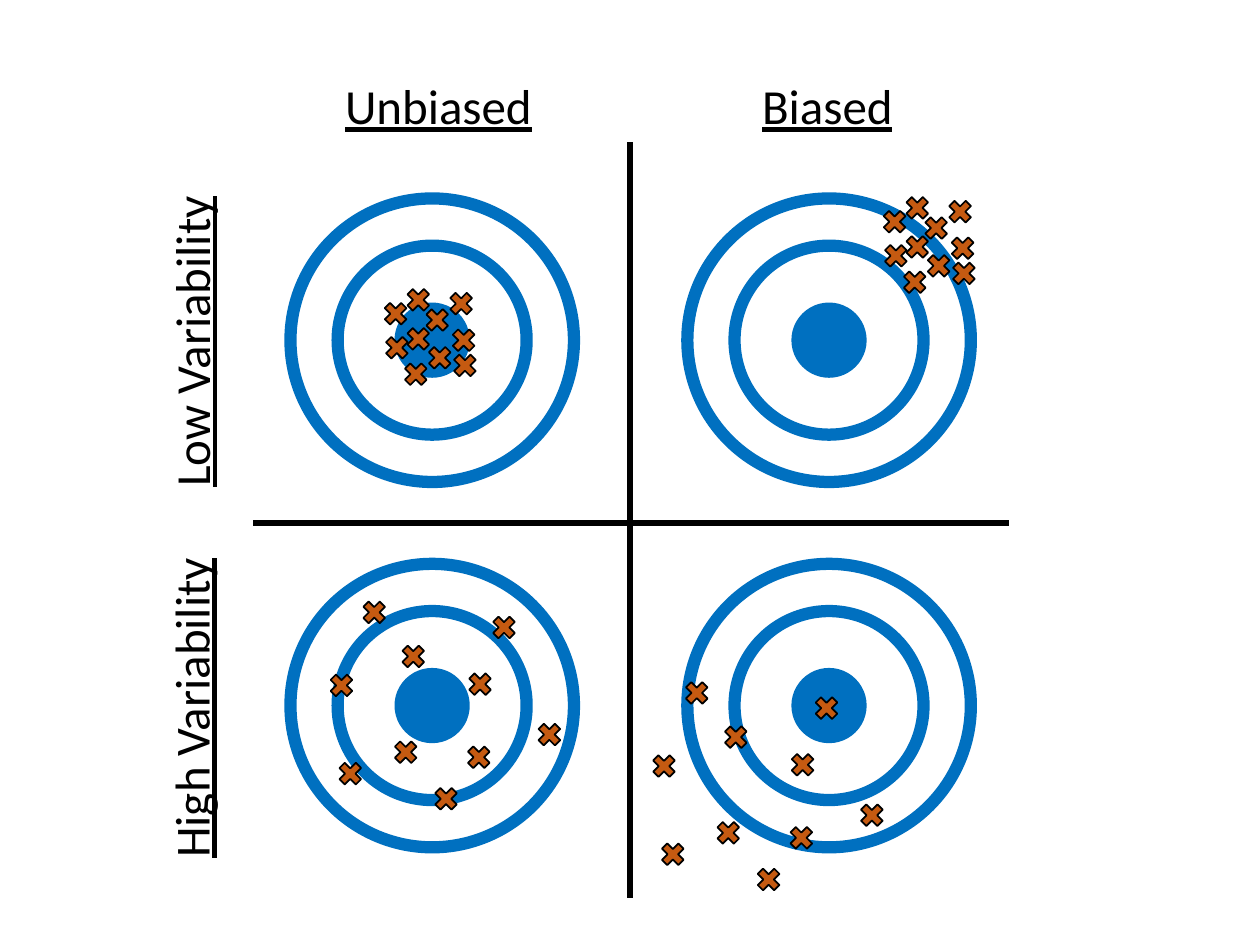
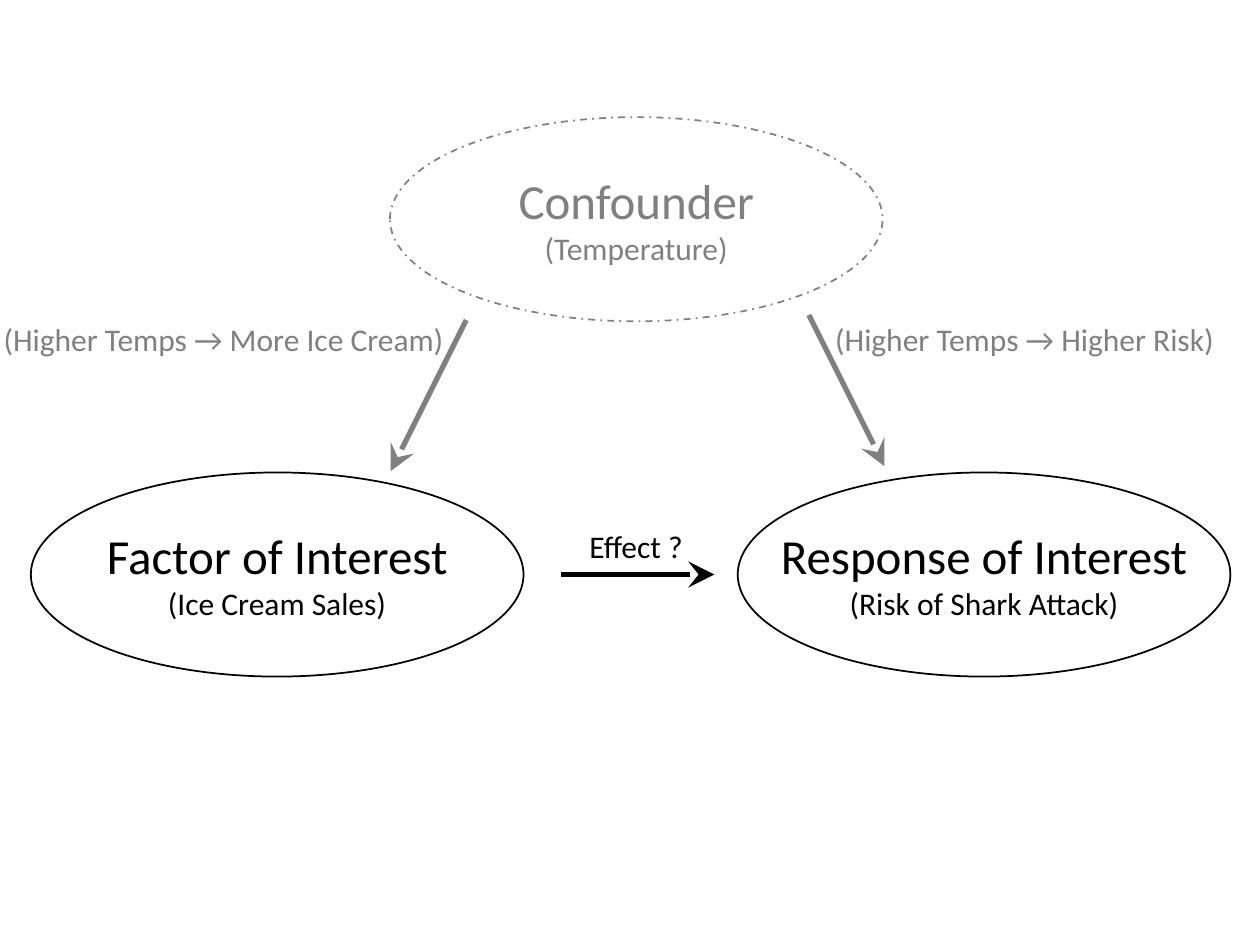
"""Build two slides: bias against variability, and a confounder diagram."""
from lxml.etree import SubElement
from pptx import Presentation
from pptx.dml.color import RGBColor
from pptx.enum.dml import MSO_LINE
from pptx.enum.shapes import MSO_CONNECTOR, MSO_SHAPE
from pptx.enum.text import MSO_AUTO_SIZE, PP_ALIGN
from pptx.oxml.ns import qn
from pptx.util import Inches, Pt

COLORS = {"ink": "000000", "gray": "808080", "ring": "0070C0", "shot": "C55A11"}
FONT = "Calibri"
BIG, SMALL = 28, 18

RINGS = [(2.25, None), (1.5, None), (0.5, "ring")]
ORIGIN, PITCH = (3.43, 2.7), (3.15, 2.9)
MARK = 0.25
AXES = [((5, 1.13), (5, 7.13)), ((2.01, 4.15), (8.01, 4.15))]
HEADS = [
    ("Unbiased", (2.64, 0.55, 1.7, 0.57), 0),
    ("Biased", (5.95, 0.55, 1.25, 0.57), 0),
    ("Low Variability", (0.25, 2.41, 2.53, 0.57), 270),
    ("High Variability", (0.21, 5.32, 2.6, 0.57), 270),
]
# Each row: shot offsets from the bullseye, then the shift that bias adds.
ROWS = [
    ([(-0.13, 0.27), (-0.11, -0.32), (0.26, 0.2), (0.06, 0.14), (-0.28, 0.06),
      (0.25, 0), (-0.11, -0.01), (0.23, -0.29), (0.04, -0.16), (-0.29, -0.21)],
     (0.81, -0.73)),
    ([(-0.15, -0.39), (-0.46, -0.74), (0.37, 0.41), (-0.21, 0.37), (-0.65, 0.54),
      (0.93, 0.23), (0.11, 0.74), (0.57, -0.62), (0.38, -0.17), (-0.72, -0.16)],
     (-0.59, 0.64)),
]

OVAL = (3.91, 1.62)
NODES = [
    ("Response of Interest", "(Risk of Shark Attack)", (7.81, 4.56), 3.46, "ink", None),
    ("Factor of Interest", "(Ice Cream Sales)", (2.2, 4.56), 2.93, "ink", None),
    ("Confounder", "(Temperature)", (5.05, 1.74), 2.09, "gray", MSO_LINE.DASH_DOT),
]
ARROWS = [
    ((4.45, 4.56), (5.67, 4.56), "ink"),
    ((6.42, 2.5), (7.02, 3.7), "gray"),
    ((3.7, 2.54), (3.1, 3.74), "gray"),
]
NOTES = [
    ("Effect ?", (4.58, 4.13, 0.95, 0.4), "ink"),
    ("(Higher Temps → More Ice Cream)", (-0.07, 2.49, 3.78, 0.4), "gray"),
    ("(Higher Temps → Higher Risk)", (6.53, 2.49, 3.24, 0.4), "gray"),
]


def paint(name):
    return RGBColor.from_string(COLORS[name])


def center(mid, width, height):
    return mid[0] - width / 2, mid[1] - height / 2, width, height


def add_form(shapes, kind, box, edge, weight, fill=None):
    form = shapes.add_shape(kind, *map(Inches, box))
    form.shadow.inherit = False
    if fill:
        form.fill.solid()
        form.fill.fore_color.rgb = paint(fill)
    else:
        form.fill.background()
    form.line.color.rgb = paint(edge)
    form.line.width = Pt(weight)
    return form


def add_line(shapes, start, end, color, arrow=False):
    line = shapes.add_connector(MSO_CONNECTOR.STRAIGHT, *map(Inches, start + end))
    line.line.color.rgb = paint(color)
    line.line.width = Pt(3)
    props = line._element.spPr
    if arrow:
        SubElement(props.find(qn("a:ln")), qn("a:tailEnd"),
                   type="stealth", w="lg", len="lg")
    SubElement(props, qn("a:effectLst"))


def add_text(shapes, lines, box, color, align=PP_ALIGN.LEFT, under=None):
    label = shapes.add_textbox(*map(Inches, box))
    frame = label.text_frame
    frame.text = "\n".join(text for text, size in lines)
    frame.word_wrap = False
    frame.auto_size = MSO_AUTO_SIZE.SHAPE_TO_FIT_TEXT
    for para, (text, size) in zip(frame.paragraphs, lines):
        para.alignment = align
        font = para.runs[0].font
        font.name, font.size, font.underline = FONT, Pt(size), under
        font.color.rgb = paint(color)
    return label


def draw_aims(shapes):
    for start, end in AXES:
        add_line(shapes, start, end, "ink")
    for row, (shots, shift) in enumerate(ROWS):
        for col in range(2):
            mid = (ORIGIN[0] + col * PITCH[0], ORIGIN[1] + row * PITCH[1])
            group = shapes.add_group_shape()
            for size, fill in RINGS:
                add_form(group.shapes, MSO_SHAPE.OVAL, center(mid, size, size),
                         "ring", 7, fill)
            for x, y in shots:
                spot = (mid[0] + x + col * shift[0], mid[1] + y + col * shift[1])
                add_form(shapes, MSO_SHAPE.MATH_MULTIPLY, center(spot, MARK, MARK),
                         "ink", 1, "shot")
    for text, box, turn in HEADS:
        add_text(shapes, [(text, BIG)], box, "ink", under=True).rotation = turn


def draw_cause(shapes):
    for name, case, mid, width, color, dash in NODES:
        add_text(shapes, [(name, BIG), (case, SMALL)], center(mid, width, 0.88),
                 color, PP_ALIGN.CENTER)
        oval = add_form(shapes, MSO_SHAPE.OVAL, center(mid, *OVAL), color, 1)
        if dash:
            oval.line.dash_style = dash
    for start, end, color in ARROWS:
        add_line(shapes, start, end, color, arrow=True)
    for text, box, color in NOTES:
        add_text(shapes, [(text, SMALL)], box, color)


def main():
    deck = Presentation()
    deck.slide_width, deck.slide_height = Inches(10), Inches(7.5)
    for draw in (draw_aims, draw_cause):
        draw(deck.slides.add_slide(deck.slide_layouts[6]).shapes)
    deck.save("out.pptx")


if __name__ == "__main__":
    main()
